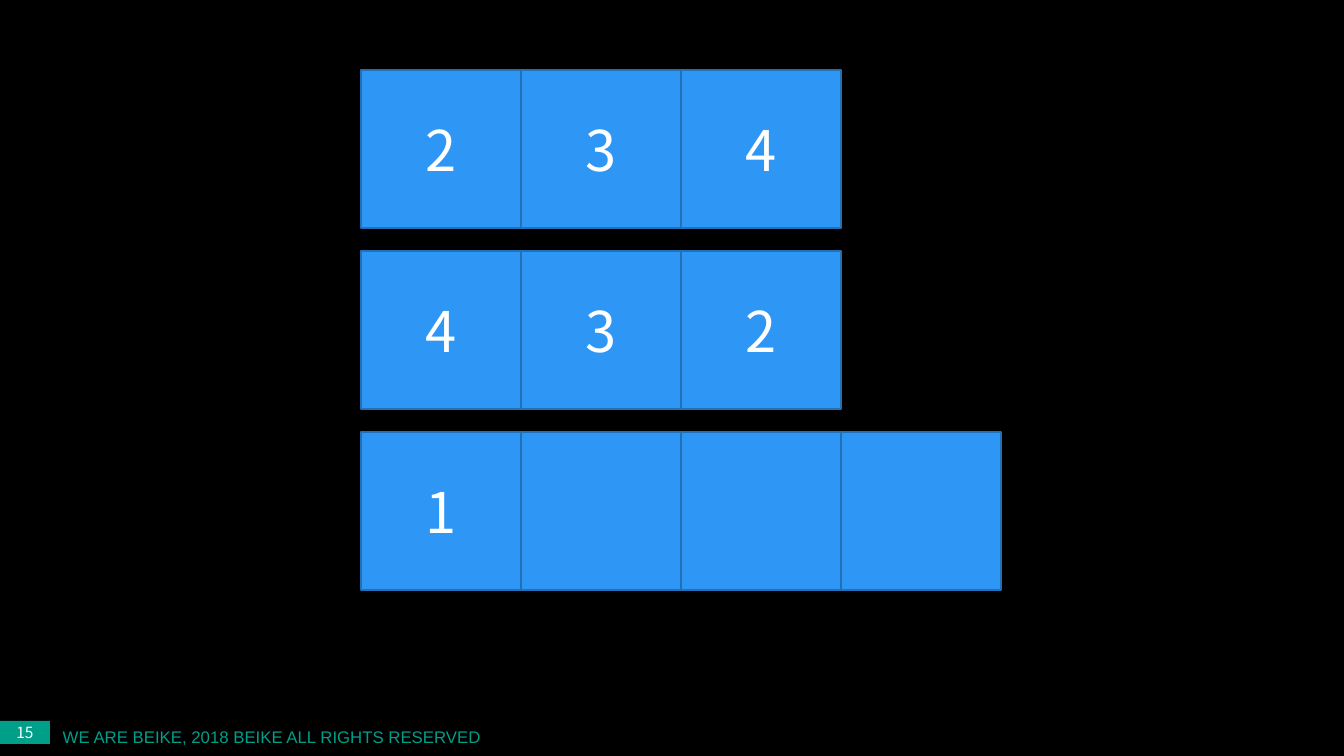
from pptx import Presentation
from pptx.dml.color import RGBColor
from pptx.enum.shapes import MSO_SHAPE
from pptx.enum.text import MSO_ANCHOR, MSO_AUTO_SIZE, PP_ALIGN
from pptx.util import Emu, Pt

RECTANGLE = MSO_SHAPE.RECTANGLE
MIDDLE = MSO_ANCHOR.MIDDLE
GROW = MSO_AUTO_SIZE.SHAPE_TO_FIT_TEXT
CENTER, RIGHT = PP_ALIGN.CENTER, PP_ALIGN.RIGHT

EMU_PER_PX = 914400 / 100.8
SLIDE_WIDTH, SLIDE_HEIGHT = 1344, 756

ROWS = [["2", "3", "4"], ["4", "3", "2"], ["1", "", "", ""]]
GRID_LEFT, GRID_TOP = 361, 70
CELL_WIDTH, CELL_HEIGHT = 160, 158
ROW_PITCH = 181


def px(length):
    return Emu(round(length * EMU_PER_PX))


def color(hex_string):
    return RGBColor.from_string(hex_string)


def assign(target, values):
    for name, value in values.items():
        setattr(target, name, value)


class SlideBuilder:
    """Holds the style and the current slide, and adds its elements."""

    blue, blue_edge, green = "2E97F6", "2270B6", "009F89"
    white, black = "FFFFFF", "000000"
    digit_font, footer_font = "Noto Sans CJK SC", "Arial"

    def __init__(self, deck):
        self.slide = deck.slides.add_slide(deck.slide_layouts[6])
        background = self.slide.background.fill
        background.solid()
        background.fore_color.rgb = color(self.black)

    def label(self, frame, wording, ink, font, paragraph_format):
        assign(frame, {"vertical_anchor": MIDDLE})
        paragraph = frame.paragraphs[0]
        assign(paragraph, paragraph_format)
        run = paragraph.add_run()
        run.text = wording
        assign(run.font, font)
        run.font.color.rgb = color(ink)

    def box(self, bounds, fill, wording, size, edge=None):
        block = self.slide.shapes.add_shape(RECTANGLE, *map(px, bounds))
        block.shadow.inherit = False
        block.fill.solid()
        block.fill.fore_color.rgb = color(fill)
        if edge:
            block.line.color.rgb = color(edge)
            block.line.width = Pt(1)
        else:
            block.line.fill.background()
        if wording:
            font = {"name": self.digit_font, "size": Pt(size)}
            self.label(block.text_frame, wording, self.white, font,
                       {"alignment": CENTER})

    def footer(self, bounds, wording):
        frame = self.slide.shapes.add_textbox(*map(px, bounds)).text_frame
        assign(frame, {"word_wrap": False, "auto_size": GROW})
        font = {"name": self.footer_font, "size": Pt(12)}
        self.label(frame, wording, self.green, font,
                   {"alignment": RIGHT, "line_spacing": 1.5})


def main():
    deck = Presentation()
    assign(deck, {"slide_width": px(SLIDE_WIDTH), "slide_height": px(SLIDE_HEIGHT)})
    builder = SlideBuilder(deck)

    builder.footer((49, 713, 442, 37), "WE ARE BEIKE, 2018 BEIKE ALL RIGHTS RESERVED")
    builder.box((0, 721, 50, 23), builder.green, "15", 11)

    for row, digits in enumerate(ROWS):
        for column, digit in enumerate(digits):
            bounds = (GRID_LEFT + column * CELL_WIDTH, GRID_TOP + row * ROW_PITCH,
                      CELL_WIDTH, CELL_HEIGHT)
            builder.box(bounds, builder.blue, digit, 40, builder.blue_edge)

    deck.save("out.pptx")


if __name__ == "__main__":
    main()
